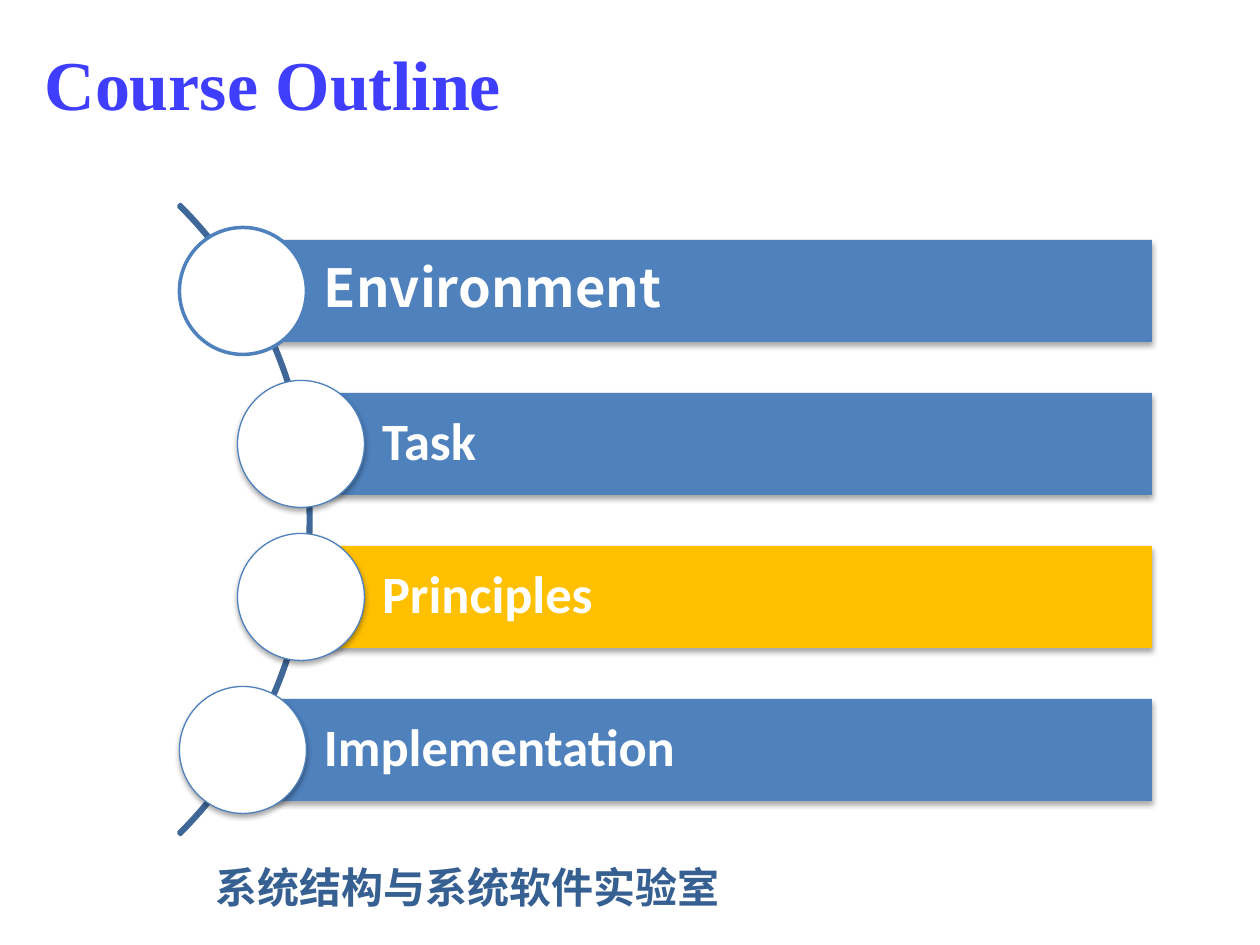
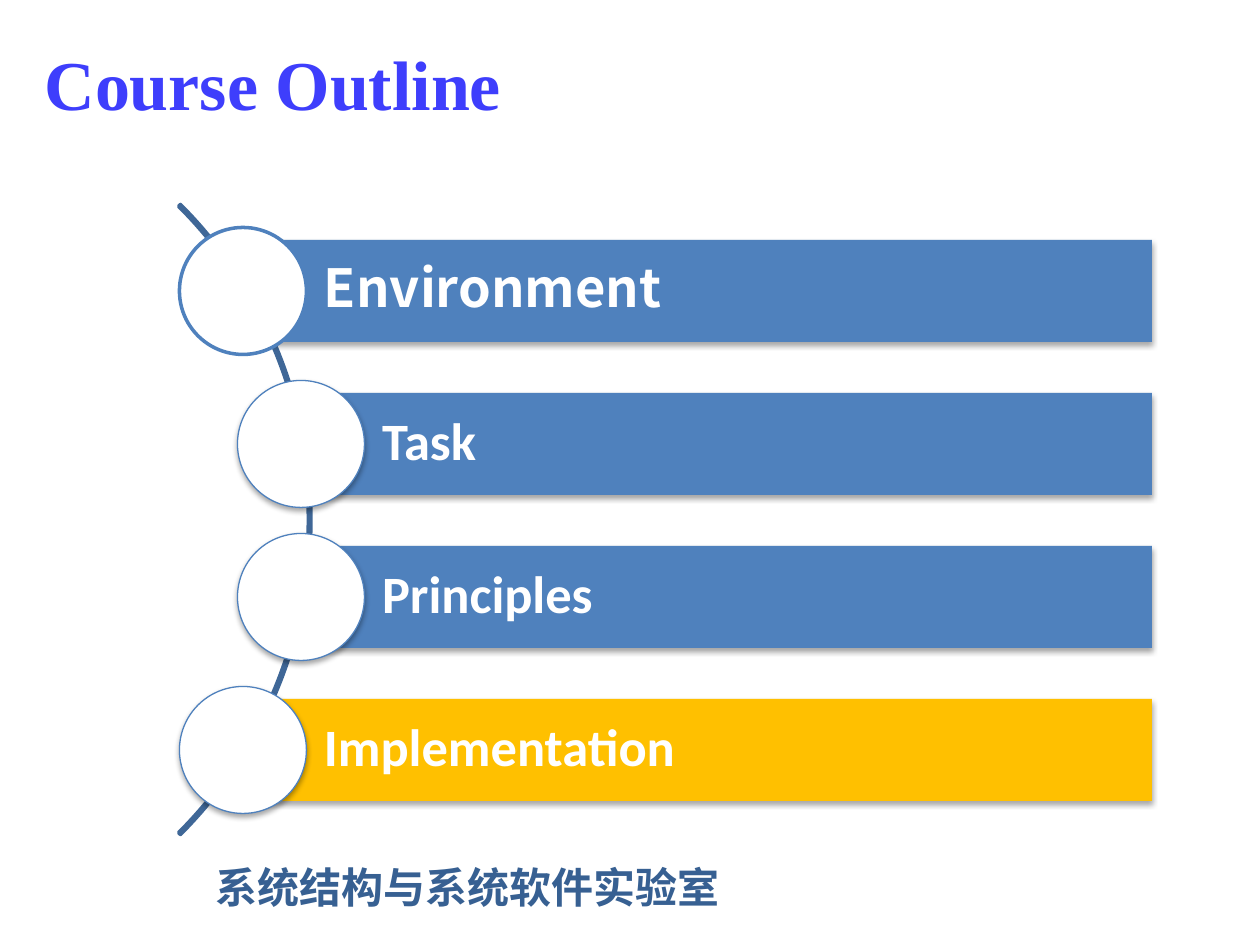
import lxml.etree
import pptx
import pptx.dml.color
import pptx.enum.shapes
import pptx.enum.text
import pptx.oxml.ns
import pptx.util

EMU_PER_PX = 914400 / 126
COLORS = {
    "title": "3E3EFC",
    "footer": "376092",
    "arc": "3F6797",
    "bar": "4F81BD",
    "current": "FFC000",
    "white": "FFFFFF",
    "shadow": "000000",
}
CJK_FONT = "Noto Sans CJK SC"

# topic, font, bar left, circle outline in points, circle has a shadow
TOPICS = [
    ("Environment", CJK_FONT, 243, 2, False),
    ("Task", "Calibri", 301, 0.75, True),
    ("Principles", "Calibri", 301, 0.75, True),
    ("Implementation", "Calibri", 243, 0.75, True),
]
CURRENT_TOPICS = ["Principles", "Implementation"]

BAR_TOP, BAR_PITCH, BAR_HEIGHT, BAR_RIGHT = 240, 153, 102, 1152
CIRCLE_SIZE = 127
SHAPES = pptx.enum.shapes.MSO_SHAPE


def px(*lengths):
    return [pptx.util.Emu(round(length * EMU_PER_PX)) for length in lengths]


def rgb(name):
    return pptx.dml.color.RGBColor.from_string(COLORS[name])


def add_child(parent, tag, **attributes):
    return lxml.etree.SubElement(parent, pptx.oxml.ns.qn(tag), attributes)


def write_text(frame, text, *, font, size, color, anchor="TOP", insets=None,
               line_spacing=None, space_after=None):
    """Fill a frame with one bold, left-aligned paragraph; space_after is in percent."""
    frame.word_wrap = True
    frame.vertical_anchor = pptx.enum.text.MSO_ANCHOR[anchor]
    if insets:
        (frame.margin_left, frame.margin_top,
         frame.margin_right, frame.margin_bottom) = px(*insets)
    paragraph = frame.paragraphs[0]
    paragraph.alignment = pptx.enum.text.PP_ALIGN.LEFT
    if line_spacing:
        paragraph.line_spacing = line_spacing
    if space_after:
        after = add_child(paragraph._p.get_or_add_pPr(), "a:spcAft")
        add_child(after, "a:spcPct", val=str(space_after * 1000))
    run = paragraph.add_run()
    run.text = text
    run.font.size = pptx.util.Pt(size)
    run.font.bold = True
    run.font.color.rgb = rgb(color)
    run.font.name = font
    add_child(run._r.get_or_add_rPr(), "a:ea", typeface=font)


def add_drop_shadow(shape):
    effects = shape._element.spPr.find(pptx.oxml.ns.qn("a:effectLst"))
    shadow = add_child(effects, "a:outerShdw", blurRad="40000", dist="23000",
                       dir="5400000", rotWithShape="0")
    color = add_child(shadow, "a:srgbClr", val=COLORS["shadow"])
    add_child(color, "a:alpha", val="35000")


def add_figure(slide, kind, box, *, fill=None, line=None, width=0.75, shadow=False):
    shape = slide.shapes.add_shape(kind, *px(*box))
    shape.shadow.inherit = False
    if fill:
        shape.fill.solid()
        shape.fill.fore_color.rgb = rgb(fill)
    else:
        shape.fill.background()
    if line:
        shape.line.color.rgb = rgb(line)
        shape.line.width = pptx.util.Pt(width)
    else:
        shape.line.fill.background()
    if shadow:
        add_drop_shadow(shape)
    return shape


def add_title(slide, text):
    title = slide.shapes.title
    title.left, title.top, title.width, title.height = px(32, 16, 965, 132)
    write_text(title.text_frame, text, font="Times New Roman", size=40,
               color="title", anchor="MIDDLE")


def add_footer(slide):
    footer = slide.shapes.add_textbox(*px(203, 855, 665, 64))
    write_text(footer.text_frame, "系统结构与系统软件实验室", font=CJK_FONT,
               size=24, color="footer")


def add_arc(slide):
    arc = add_figure(slide, SHAPES.BLOCK_ARC, (-580, 74, 891, 891), line="arc", width=2)
    for index, value in enumerate((189, 27, 0.003)):
        arc.adjustments[index] = value


def add_topic(slide, row, current):
    topic, font, left, outline, circle_shadow = TOPICS[row]
    top = BAR_TOP + row * BAR_PITCH
    bar = add_figure(slide, SHAPES.RECTANGLE, (left, top, BAR_RIGHT - left, BAR_HEIGHT),
                     fill="current" if topic == current else "bar", shadow=True)
    write_text(bar.text_frame, topic, font=font, size=30, color="white", anchor="MIDDLE",
               insets=(81, 10, 10, 10), line_spacing=0.9, space_after=35)
    circle_top = top + (BAR_HEIGHT - CIRCLE_SIZE) / 2
    add_figure(slide, SHAPES.OVAL,
               (left - CIRCLE_SIZE / 2, circle_top, CIRCLE_SIZE, CIRCLE_SIZE),
               fill="white", line="bar", width=outline, shadow=circle_shadow)


def add_outline_slide(deck, current):
    slide = deck.slides.add_slide(deck.slide_layouts.get_by_name("Title Only"))
    add_footer(slide)
    add_title(slide, "Course Outline")
    add_arc(slide)
    for row in range(len(TOPICS)):
        add_topic(slide, row, current)


def main():
    deck = pptx.Presentation()
    deck.slide_width, deck.slide_height = px(1260, 945)
    for current in CURRENT_TOPICS:
        add_outline_slide(deck, current)
    deck.save("out.pptx")


if __name__ == "__main__":
    main()
